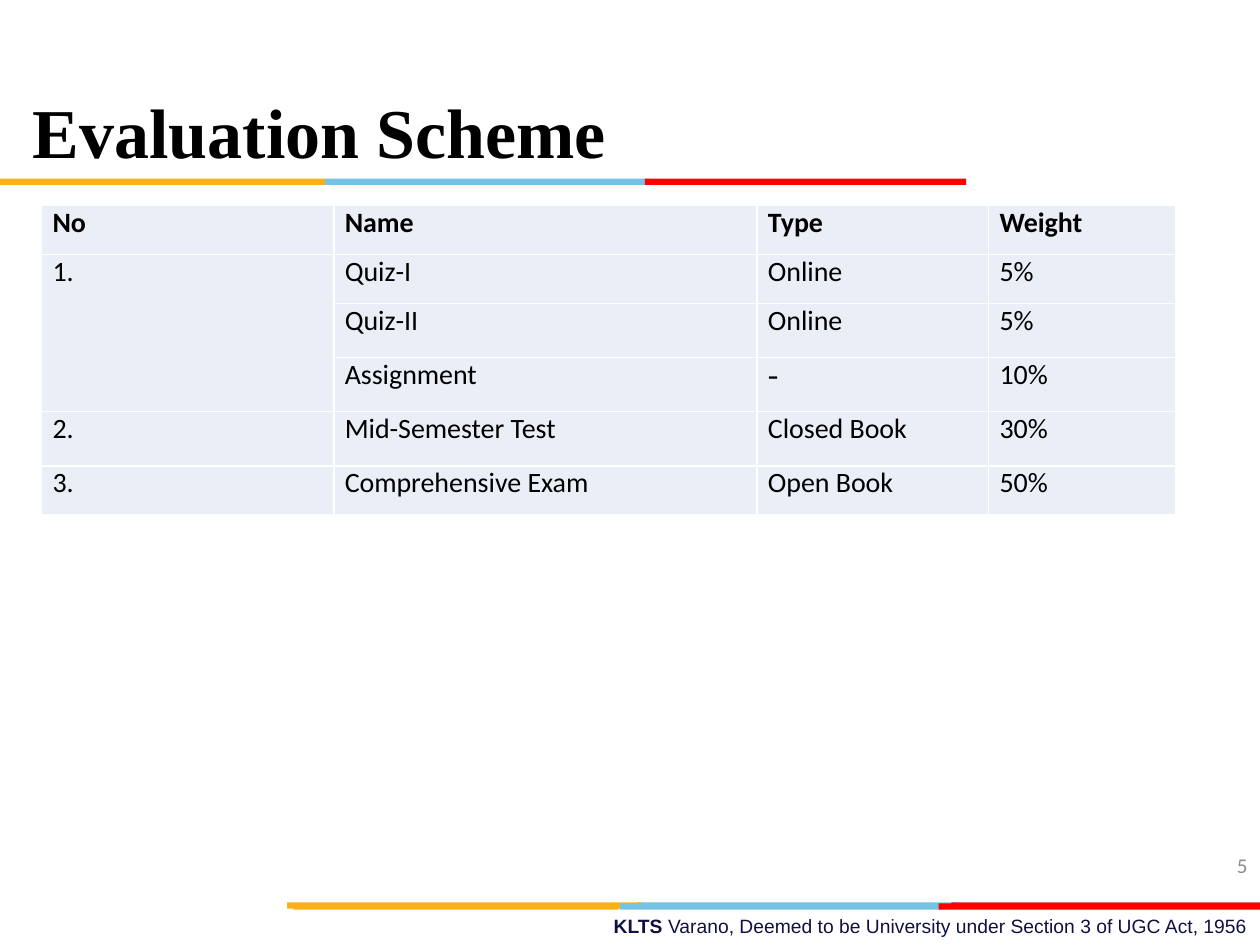
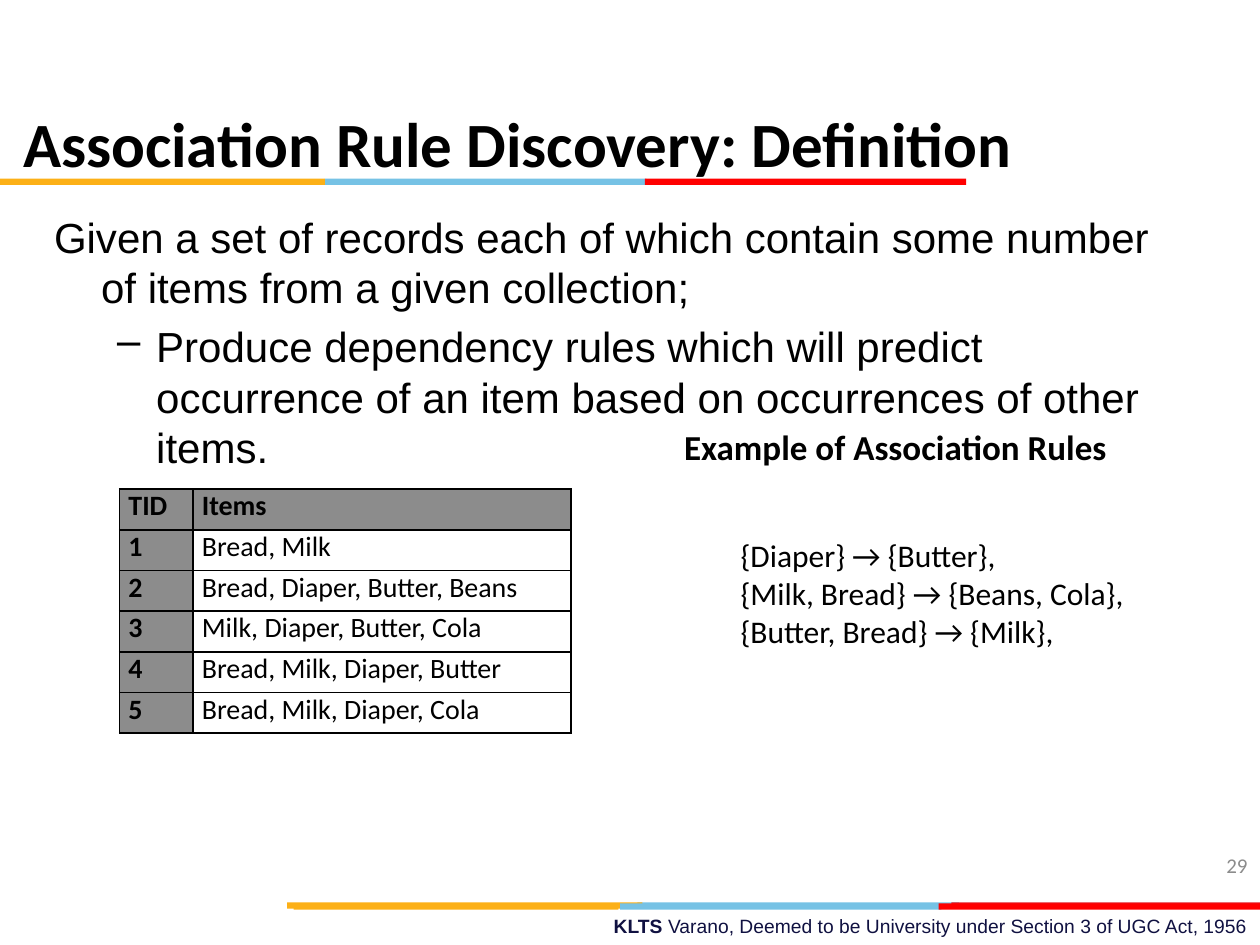
import pptx
import pptx.dml.color
import pptx.enum.shapes
import pptx.enum.text
import pptx.oxml
import pptx.oxml.ns
import pptx.util

Cm, Pt = pptx.util.Cm, pptx.util.Pt
ALIGN = pptx.enum.text.PP_ALIGN
ANCHOR = pptx.enum.text.MSO_ANCHOR

COLORS = {
    "black": "000000",
    "white": "FFFFFF",
    "navy": "101141",
    "gray": "8C8C8C",
    "yellow": "FCB017",
    "sky": "76C2E5",
    "crimson": "E31C24",
    "red": "FF0000",
    "pale": "EAEFF7",
}

# Stripes: top, then (left, width, color) for each piece, in centimetres
STRIPES = [
    (18.19, [(12.85, 6.48, "sky"), (19.18, 6.22, "crimson"), (5.79, 7.16, "yellow")]),
    (18.21, [(12.5, 6.48, "sky"), (5.92, 6.55, "yellow"), (18.92, 6.48, "red")]),
    (3.6, [(6.55, 6.48, "sky"), (0, 6.55, "yellow"), (13, 6.48, "red")]),
]

EVALUATION = [
    ["No", "Name", "Type", "Weight"],
    ["1.", "Quiz-I", "Online", "5%"],
    ["", "Quiz-II", "Online", "5%"],
    ["", "Assignment", "-", "10%"],
    ["2.", "Mid-Semester Test", "Closed Book", "30%"],
    ["3.", "Comprehensive Exam", "Open Book", "50%"],
]

BASKETS = [
    ["TID", "Items"],
    ["1", "Bread, Milk"],
    ["2", "Bread, Diaper, Butter, Beans"],
    ["3", "Milk, Diaper, Butter, Cola"],
    ["4", "Bread, Milk, Diaper, Butter"],
    ["5", "Bread, Milk, Diaper, Cola"],
]

RULES = [
    "{Diaper} → {Butter},",
    "{Milk, Bread} → {Beans, Cola},",
    "{Butter, Bread} → {Milk},",
]


def rgb(color):
    return pptx.dml.color.RGBColor.from_string(COLORS[color])


def add_span(para, text, size, font="Calibri", color="black", bold=False):
    span = para.add_run()
    span.text = text
    span.font.size = Pt(size)
    span.font.name = font
    span.font.bold = bold
    span.font.color.rgb = rgb(color)


def add_box(page, left, top, width, height, anchor=ANCHOR.TOP):
    box = page.shapes.add_textbox(Cm(left), Cm(top), Cm(width), Cm(height))
    box.text_frame.word_wrap = True
    box.text_frame.vertical_anchor = anchor
    return box


def add_stripe(page, left, top, width, color):
    stripe = page.shapes.add_shape(
        pptx.enum.shapes.MSO_SHAPE.RECTANGLE, Cm(left), Cm(top), Cm(width), Cm(0.13))
    stripe.shadow.inherit = False
    stripe.fill.solid()
    stripe.fill.fore_color.rgb = rgb(color)
    stripe.line.fill.background()
    return stripe


def add_shared_parts(page):
    """Build the footer and stripes, then move them to the page's layout."""
    footer = add_box(page, 9.09, 18.31, 16.31, 0.74)
    para = footer.text_frame.paragraphs[0]
    para.alignment = ALIGN.RIGHT
    add_span(para, "KLTS ", 11, "Arial", "navy", bold=True)
    add_span(para, "Varano, Deemed to be University under Section 3 of UGC Act, 1956",
             11, "Arial", "navy")
    parts = [footer]
    for top, pieces in STRIPES:
        parts += [add_stripe(page, left, top, width, color)
                  for left, width, color in pieces]
    for number, part in enumerate(parts, 100):
        part.element.xpath(".//p:cNvPr")[0].set("id", str(number))
        page.slide_layout.shapes.element.append(part.element)


def set_title(page, text, left, top, height, size, font, align):
    title = page.shapes.title
    title.left, title.top, title.width, title.height = (
        Cm(left), Cm(top), Cm(21.89), Cm(height))
    frame = title.text_frame
    frame.word_wrap = True
    frame.auto_size = pptx.enum.text.MSO_AUTO_SIZE.NONE
    frame.vertical_anchor = ANCHOR.MIDDLE
    para = frame.paragraphs[0]
    para.alignment = align
    para.line_spacing = 0.9
    add_span(para, text, size, font, bold=True)


def add_page_number(page, number):
    box = add_box(page, 19.48, 16.94, 5.92, 1.02, ANCHOR.MIDDLE)
    para = box.text_frame.paragraphs[0]
    para.alignment = ALIGN.RIGHT
    add_span(para, number, 12, color="gray")


def set_indent(para, margin, first_line, bullet=None):
    props = para._p.get_or_add_pPr()
    props.set("marL", str(Cm(margin)))
    props.set("indent", str(Cm(first_line)))
    if bullet:
        mark = pptx.oxml.parse_xml(
            f'<a:buChar {pptx.oxml.ns.nsdecls("a")} char="{bullet}"/>')
        props.append(mark)


def set_borders(cell, color):
    props = cell._tc.get_or_add_tcPr()
    for side in ("lnL", "lnR", "lnT", "lnB"):
        props.append(pptx.oxml.parse_xml(
            f'<a:{side} {pptx.oxml.ns.nsdecls("a")} w="{Pt(1)}"><a:solidFill>'
            f'<a:srgbClr val="{COLORS[color]}"/></a:solidFill></a:{side}>'))


def add_grid(page, rows, left, top, widths, heights, inset, border, cell_style):
    """Add a table; cell_style(row, column) gives the fill and boldness."""
    table = page.shapes.add_table(
        len(rows), len(widths), Cm(left), Cm(top),
        Cm(sum(widths)), Cm(sum(heights))).table
    table.first_row = table.horz_banding = False
    for column, width in zip(table.columns, widths):
        column.width = Cm(width)
    for r, (texts, height) in enumerate(zip(rows, heights)):
        table.rows[r].height = Cm(height)
        for c, text in enumerate(texts):
            cell = table.cell(r, c)
            fill, bold = cell_style(r, c)
            set_borders(cell, border)
            cell.fill.solid()
            cell.fill.fore_color.rgb = rgb(fill)
            cell.margin_left = cell.margin_right = Cm(inset)
            cell.margin_top = cell.margin_bottom = 0
            para = cell.text_frame.paragraphs[0]
            if text == "-":
                add_span(para, text, 18, "Times New Roman")
            elif text:
                add_span(para, text, 16, bold=bold)
    return table


def build_evaluation(page):
    table = add_grid(
        page, EVALUATION, 0.84, 4.14, [5.89, 8.53, 4.67, 3.77],
        [0.99, 0.99, 1.09, 1.09, 1.09, 0.99], 0.22, "white",
        lambda r, c: ("pale", r == 0))
    table.cell(1, 0).merge(table.cell(3, 0))
    add_page_number(page, "5")
    set_title(page, "Evaluation Scheme", 0.41, 0.94, 3.61, 40,
              "Times New Roman", ALIGN.LEFT)


def build_association(page):
    # Definition
    frame = add_box(page, 0.84, 4.14, 22.86, 12.57).text_frame
    given, produce = frame.paragraphs[0], frame.add_paragraph()
    produce.level = 1
    given.space_before = produce.space_before = Pt(4.8)
    set_indent(given, 0.95, -0.95)
    set_indent(produce, 2.06, -0.79, "–")
    add_span(given, "Given a set of records each of which contain some number "
             "of items from a given collection;", 24, "Arial")
    add_span(produce, "Produce dependency rules which will predict occurrence "
             "of an item based on occurrences of other items.", 24, "Arial")

    add_page_number(page, "29")
    set_title(page, "Association Rule Discovery: Definition", -0.51, 2.26, 1.42,
              36, "Calibri", ALIGN.CENTER)

    # Example rules
    heading = add_box(page, 13.54, 8.46, 10.59, 1.09)
    add_span(heading.text_frame.paragraphs[0], "Example of Association Rules",
             20, bold=True)
    para = add_box(page, 14.68, 10.69, 9.09, 2.54).text_frame.paragraphs[0]
    for index, rule in enumerate(RULES):
        if index:
            para.add_line_break()
        add_span(para, rule, 18)

    # Transactions
    def basket_style(r, c):
        is_header = r == 0 or c == 0
        return ("gray" if is_header else "white"), is_header

    add_grid(page, BASKETS, 2.41, 9.86, [1.48, 7.62], [0.82] * len(BASKETS),
             0.18, "black", basket_style)


def main():
    deck = pptx.Presentation()
    deck.slide_width, deck.slide_height = Cm(25.4), Cm(19.05)
    title_only = deck.slide_layouts[5]
    evaluation = deck.slides.add_slide(title_only)
    add_shared_parts(evaluation)
    build_evaluation(evaluation)
    build_association(deck.slides.add_slide(title_only))
    deck.save("out.pptx")


if __name__ == "__main__":
    main()
